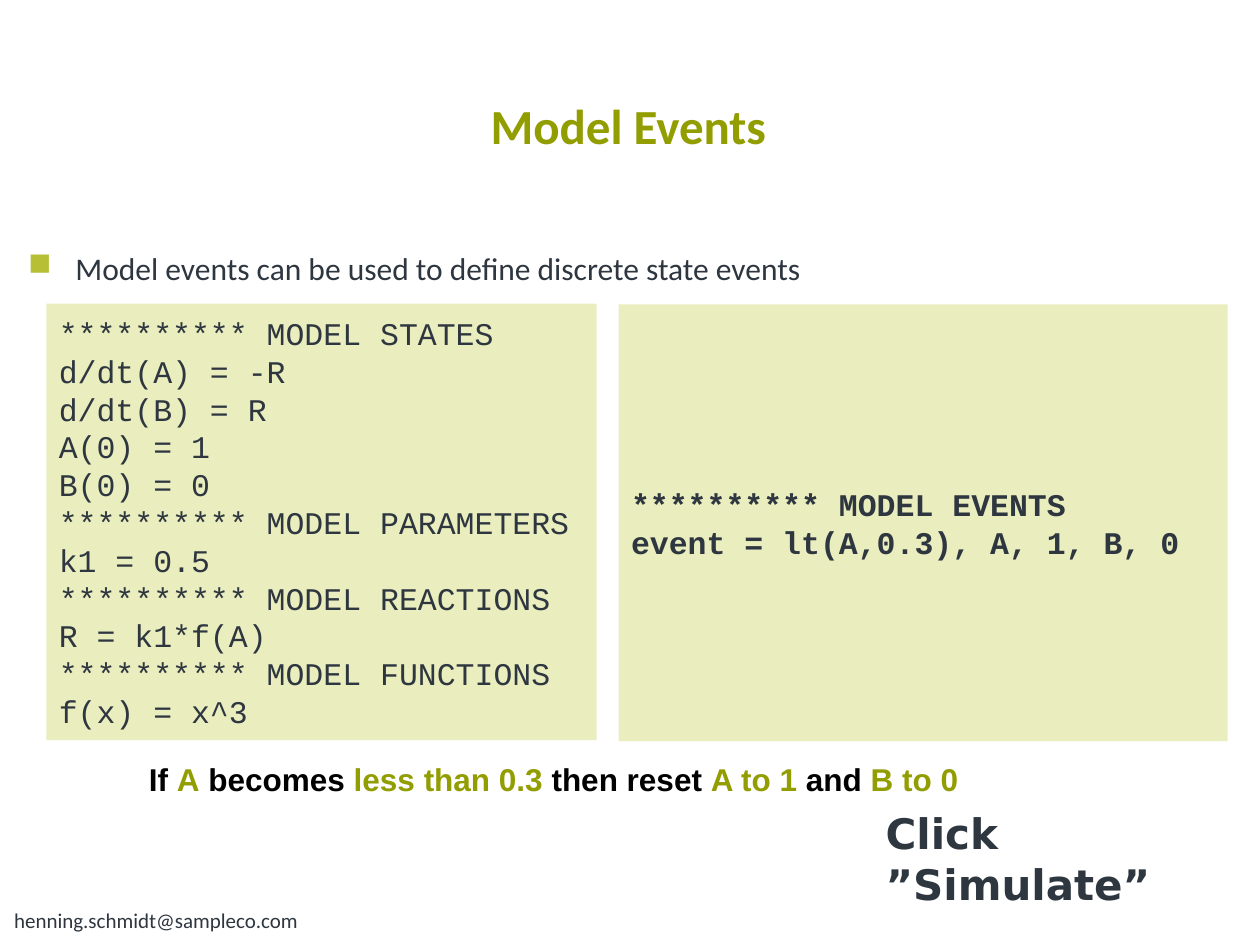
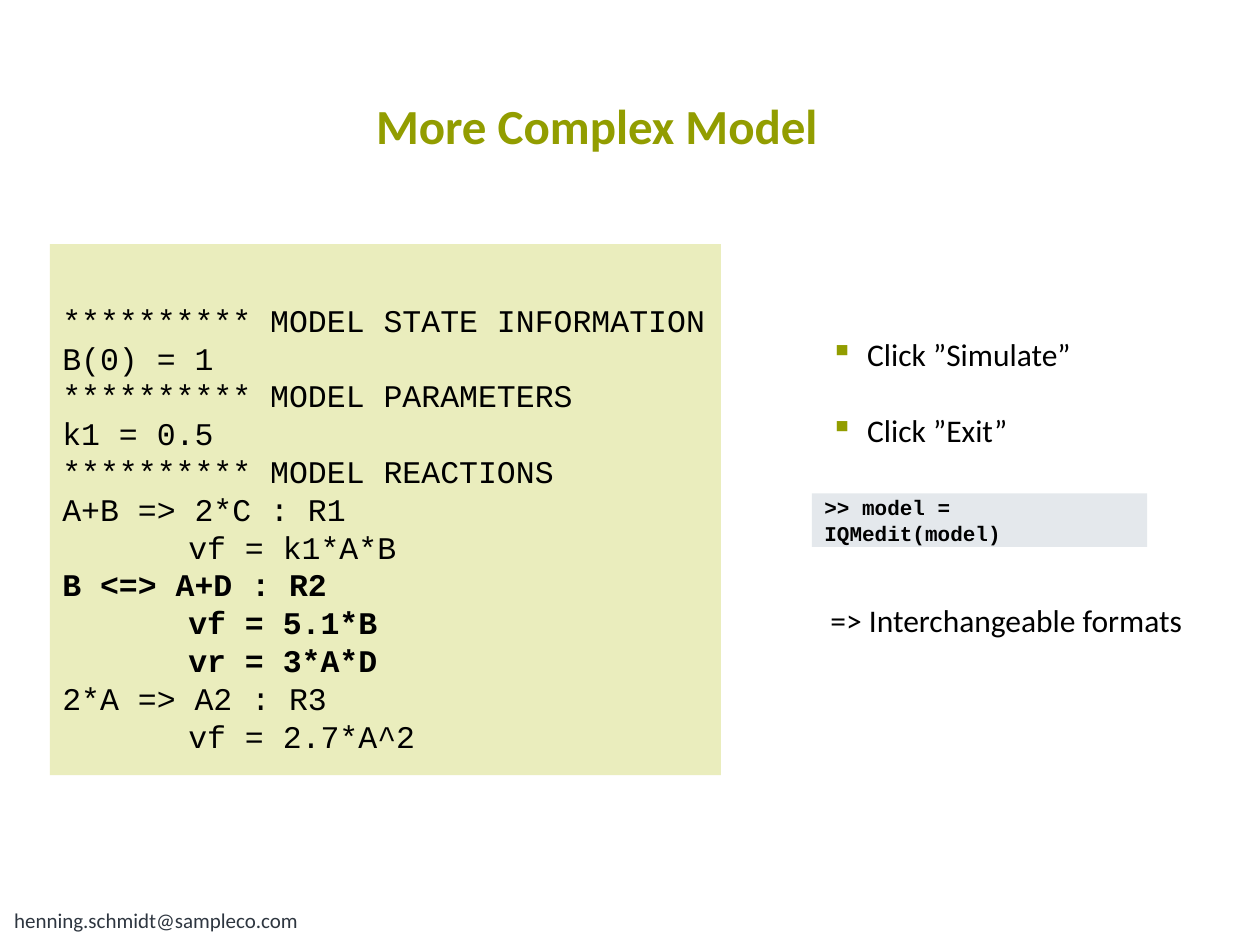
from lxml import etree
from pptx import Presentation
from pptx.dml.color import RGBColor
from pptx.enum import shapes, text
from pptx.oxml.ns import qn
from pptx.util import Pt

LIME, OLIVE, LEAF = "EAEDBD", "929D00", "B7C034"
INK, BLACK, MIST = "2E3640", "000000", "E4E8EC"
SANS, MONO = "Calibri", "Courier New"


def rgb(code):
    return RGBColor.from_string(code)


class Deck:
    """Shared style and the current slide."""

    def __init__(self):
        self.prs = Presentation()
        self.prs.slide_width, self.prs.slide_height = Pt(720), Pt(540)

    def page(self, title, inset=0):
        self.slide = self.prs.slides.add_slide(self.prs.slide_layouts[6])
        self.label((1, 515, 200, 22), ["henning.schmidt@sampleco.com"], size=12)
        frame = self.label((9, 46, 700, 51), [title], size=28, color=OLIVE, bold=True)
        frame.vertical_anchor = text.MSO_ANCHOR.MIDDLE
        frame.margin_left, frame.margin_right = 0, Pt(inset)
        frame.paragraphs[0].alignment = text.PP_ALIGN.CENTER

    def label(self, area, lines, **style):
        box = self.slide.shapes.add_textbox(*map(Pt, area))
        return self.set_text(box.text_frame, lines, **style)

    def panel(self, area, lines, fill=LIME, size=18, **style):
        box = self.slide.shapes.add_shape(shapes.MSO_SHAPE.RECTANGLE, *map(Pt, area))
        box.shadow.inherit = False
        box.fill.solid()
        box.fill.fore_color.rgb = rgb(fill)
        box.line.fill.background()
        frame = self.set_text(box.text_frame, lines, size=size, face=MONO, **style)
        frame.vertical_anchor = text.MSO_ANCHOR.MIDDLE
        return frame

    def set_text(self, frame, lines, size=18, face=SANS, color=INK, bold=False):
        """Each line is a string, or a list of (text, colour) runs."""
        frame.word_wrap = True
        for num, line in enumerate(lines):
            para = frame.add_paragraph() if num else frame.paragraphs[0]
            para.alignment = text.PP_ALIGN.LEFT
            font = para.font
            font.name, font.size, font.bold = face, Pt(size), bold
            if isinstance(line, str):
                para.add_run().text = line
                font.color.rgb = rgb(color)
                continue
            for part, tint in line:
                run = para.add_run()
                run.text = part
                run.font.color.rgb = rgb(tint)
        return frame

    def indent(self, para, left, first=0):
        props = para._p.get_or_add_pPr()
        props.set("marL", str(Pt(left)))
        props.set("indent", str(Pt(first)))
        return props

    def bullet(self, para, mark, color, gap):
        props = self.indent(para, gap, -gap)
        tint = etree.Element(qn("a:buClr"))
        etree.SubElement(tint, qn("a:srgbClr")).set("val", color)
        sign = etree.Element(qn("a:buChar"))
        sign.set("char", mark)
        # Bullet elements go before the default run properties
        for spot, node in enumerate((tint, sign)):
            props.insert(spot, node)


def events(deck):
    deck.page("Model Events")
    frame = deck.label((9, 139, 700, 30),
                       ["Model events can be used to define discrete state events"])
    deck.bullet(frame.paragraphs[0], "■", LEAF, 27)

    # Model code and its event
    deck.panel((26.5, 173.5, 314.5, 249.5), [
        "********** MODEL STATES",
        "d/dt(A) = -R",
        "d/dt(B) = R",
        "A(0) = 1",
        "B(0) = 0",
        "********** MODEL PARAMETERS",
        "k1 = 0.5",
        "********** MODEL REACTIONS",
        "R = k1*f(A)",
        "********** MODEL FUNCTIONS",
        "f(x) = x^3",
    ], color=INK)
    deck.panel((353.5, 174, 348, 249.5), [
        "********** MODEL EVENTS",
        "event = lt(A,0.3), A, 1, B, 0",
    ], bold=True)

    # Meaning of the event
    deck.label((78, 431, 531, 28), [[
        ("If ", BLACK), ("A", OLIVE), (" becomes ", BLACK),
        ("less than 0.3", OLIVE), (" then reset ", BLACK),
        ("A to 1", OLIVE), (" and ", BLACK), ("B to 0", OLIVE),
    ]], face="Arial", bold=True)
    deck.label((499, 458, 205, 64), ["Click ”Simulate”"],
               size=24, face="DejaVu Sans", bold=True)


def reactions(deck):
    deck.page("More Complex Model", inset=36)

    # Model code, rate lines indented, reversible reaction bold
    frame = deck.panel((28.5, 139.5, 383.5, 303.5), [
        "********** MODEL STATE INFORMATION",
        "B(0) = 1",
        "********** MODEL PARAMETERS",
        "k1 = 0.5",
        "********** MODEL REACTIONS",
        "A+B => 2*C : R1",
        "vf = k1*A*B",
        "B <=> A+D : R2",
        "vf = 5.1*B",
        "vr = 3*A*D",
        "2*A => A2 : R3",
        "vf = 2.7*A^2",
    ], color=BLACK)
    frame.margin_top = Pt(24)
    for para in frame.paragraphs:
        if para.text.startswith("v"):
            deck.indent(para, 72)
    for para in frame.paragraphs[7:10]:
        para.font.bold = True

    # Steps and outcome
    frame = deck.label((467.5, 188, 230, 180), [
        "Click ”Simulate”", "Click ”Exit”", "=> Interchangeable formats",
    ], color=BLACK)
    first, second, last = frame.paragraphs
    for para in (first, second):
        deck.bullet(para, "▪", OLIVE, 21)
    second.space_before, last.space_before = Pt(22), Pt(87)

    deck.panel((464, 282, 191.5, 30.5), [">> model = IQMedit(model)"],
               fill=MIST, size=12, color=BLACK, bold=True)


def main():
    deck = Deck()
    events(deck)
    reactions(deck)
    deck.prs.save("out.pptx")


if __name__ == "__main__":
    main()
